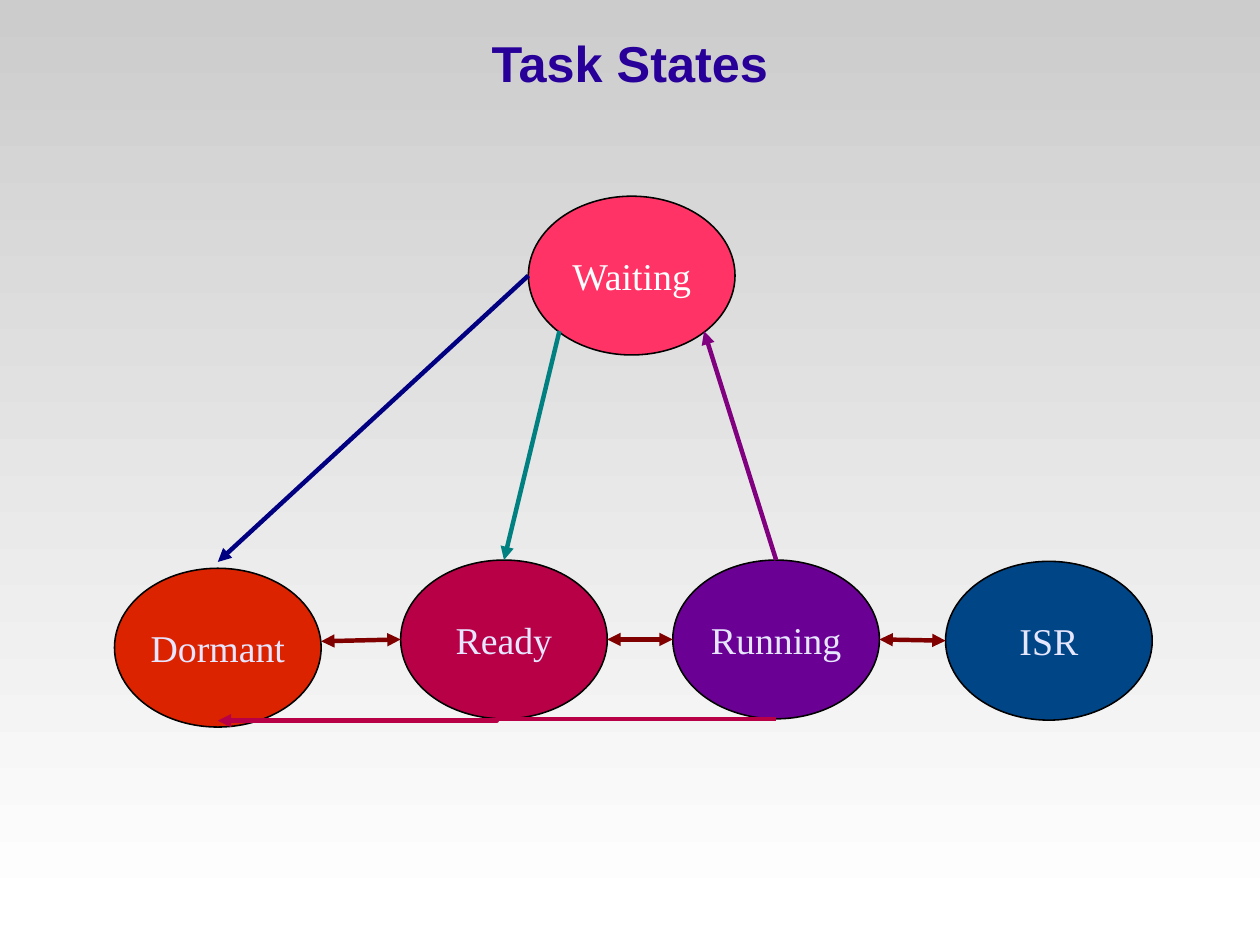
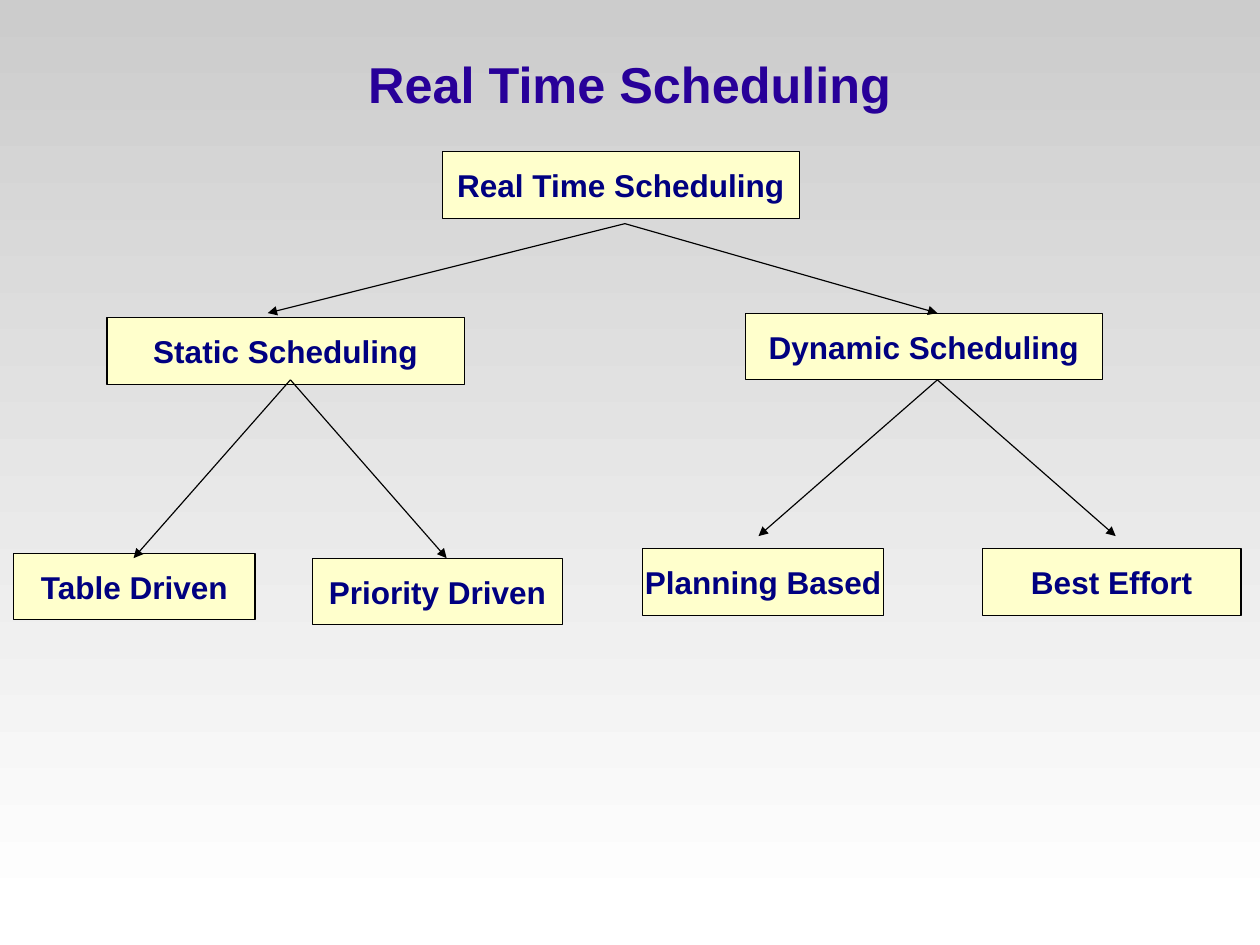
from lxml import etree
from pptx import Presentation
from pptx.dml.color import RGBColor
from pptx.enum.shapes import MSO_CONNECTOR, MSO_SHAPE
from pptx.enum.text import MSO_ANCHOR, MSO_AUTO_SIZE, PP_ALIGN
from pptx.oxml.ns import qn
from pptx.util import Inches, Pt

OVAL, RECT = MSO_SHAPE.OVAL, MSO_SHAPE.RECTANGLE
LINE, BENT = MSO_CONNECTOR.STRAIGHT, MSO_CONNECTOR.ELBOW
MID, FIXED, CENTER = MSO_ANCHOR.MIDDLE, MSO_AUTO_SIZE.NONE, PP_ALIGN.CENTER

# Slide size in points, and its grid
WIDE, HIGH = 799.87, 600.12
COLS, ROWS = 100, 75
SANS, SERIF = "Arial", "Times New Roman"
COLORS = {
    "gray": "CCCCCC", "white": "FFFFFF", "black": "000000",
    "title": "280099", "navy": "000080", "cream": "FFFFCC",
    "pale": "E6E6FF", "pink": "FF3366", "red": "DC2300",
    "wine": "B80047", "plum": "6B0094", "blue": "004586",
    "teal": "008080", "purple": "800080", "maroon": "800000",
}


def rgb(name):
    return RGBColor.from_string(COLORS[name])


def grid(col, row):
    """Turn grid columns and rows into slide lengths."""
    return Pt(col * WIDE / COLS), Pt(row * HIGH / ROWS)


def spot(box, across, down):
    """Find a point in a box from shares of its width and height."""
    left, top, wide, high = box
    return left + across * wide, top + down * high


def write(frame, text, font=SANS, size=20, color="navy", bold=False, space=None):
    frame.vertical_anchor = MID
    para = frame.paragraphs[0]
    para.alignment = CENTER
    para.line_spacing = space
    run = para.add_run()
    run.text = text
    run.font.name, run.font.size = font, Pt(size)
    run.font.bold, run.font.color.rgb = bold, rgb(color)


class Deck:
    def __init__(self, show):
        self.show = show
        self.slide = None

    def page(self, title, top, high):
        self.slide = self.show.slides.add_slide(self.show.slide_layouts[5])
        head = self.slide.shapes.title
        head.left, head.top = grid(5, top)
        head.width, head.height = grid(90, high)
        frame = head.text_frame
        frame.auto_size, frame.word_wrap = FIXED, True
        frame.margin_left = frame.margin_right = frame.margin_bottom = 0
        frame.margin_top = Inches(0.03)
        write(frame, title, size=32, color="title", bold=True, space=0.93)

    def shape(self, kind, box):
        item = self.slide.shapes.add_shape(kind, *grid(*box[:2]), *grid(*box[2:]))
        item.shadow.inherit = False
        return item

    def shade(self):
        """Put the gray fade on the master, behind every slide."""
        band = self.shape(RECT, (0, 0, COLS, 72.6))
        band.line.fill.background()
        band.fill.gradient()
        band.fill.gradient_angle = 270
        for stop, name in zip(band.fill.gradient_stops, ("gray", "white")):
            stop.color.rgb = rgb(name)
        self.show.slide_master.shapes._spTree.insert(2, band._element)

    def node(self, kind, box, text, fill, edge, **form):
        item = self.shape(kind, box)
        item.fill.solid()
        item.fill.fore_color.rgb = rgb(fill)
        item.line.color.rgb, item.line.width = rgb("black"), Pt(edge)
        item.text_frame.word_wrap = False
        write(item.text_frame, text, **form)

    def arrow(self, start, end, color="black", width=0.74, kind=LINE, both=False):
        item = self.slide.shapes.add_connector(kind, *grid(*start), *grid(*end))
        item.line.color.rgb, item.line.width = rgb(color), Pt(width)
        props = item._element.spPr
        line = props.find(qn("a:ln"))
        for tip in ("a:headEnd", "a:tailEnd") if both else ("a:tailEnd",):
            etree.SubElement(line, qn(tip), type="triangle")
        etree.SubElement(props, qn("a:effectLst"))


prs = Presentation()
prs.slide_width = Pt(WIDE)
prs.slide_height = Pt(HIGH)
deck = Deck(prs)

# Task states
deck.page("Task States", 2.7, 4.8)
deck.shade()
OVAL_W, OVAL_H, DROP = 16.4, 12.6, 0.5
waiting, dormant, ready, running, isr = [
    (left, top, OVAL_W, OVAL_H) for left, top in (
        (41.94, 15.57), (9.09, 44.6), (31.8, 44.45), (53.4, 44.45), (75.05, 44.55))]
low = (dormant[0], dormant[1] + DROP, OVAL_W, OVAL_H)
for box, text, fill, ink in (
        (waiting, "Waiting", "pink", "white"),
        (low, "Dormant", "red", "pale"),
        (running, "Running", "plum", "pale"),
        (isr, "ISR", "blue", "pale"),
        (ready, "Ready", "wine", "pale")):
    deck.node(OVAL, box, text, fill, 0.99, font=SERIF, size=24, color=ink)

# Moves between states
THICK = 2.83
TOP, BASE, LEFT, RIGHT = (0.5, 0), (0.5, 1), (0, 0.5), (1, 0.5)
for start, end, color in (
        (spot(waiting, *LEFT), spot(dormant, *TOP), "navy"),
        (spot(waiting, 0.15, 0.85), spot(ready, *TOP), "teal"),
        (spot(running, *TOP), spot(waiting, 0.85, 0.85), "purple")):
    deck.arrow(start, end, color, THICK)
row = (dormant, ready, running, isr)
for near, far in zip(row, row[1:]):
    deck.arrow(spot(near, *RIGHT), spot(far, *LEFT), "maroon", THICK, both=True)
deck.arrow(spot(running, *BASE), spot(dormant, *BASE), "wine", THICK, kind=BENT)

# Scheduling tree
deck.page("Real Time Scheduling", 3.4, 6.75)
BOX_H = 5.3
for text, left, top, wide in (
        ("Real Time Scheduling", 35.1, 12.05, 28.35),
        ("Static Scheduling", 8.5, 25.2, 28.35),
        ("Dynamic Scheduling", 59.15, 24.85, 28.35),
        ("Table Driven", 1.1, 43.9, 19.15),
        ("Planning Based", 51, 43.55, 19.15),
        ("Best Effort", 77.95, 43.55, 20.55),
        ("Priority Driven", 24.8, 44.3, 19.85)):
    deck.node(RECT, (left, top, wide, BOX_H), text, "cream", 0.74, bold=True)

# Branches: a fork point, then the columns and row of its tips
for fork, cols, tip in (
        ((49.6, 17.75), (21.25, 74.4), 24.85),
        ((23.05, 30.15), (10.6, 35.45), 44.3),
        ((74.4, 30.15), (60.2, 88.55), 42.55)):
    for col in cols:
        deck.arrow(fork, (col, tip))

prs.save("out.pptx")
